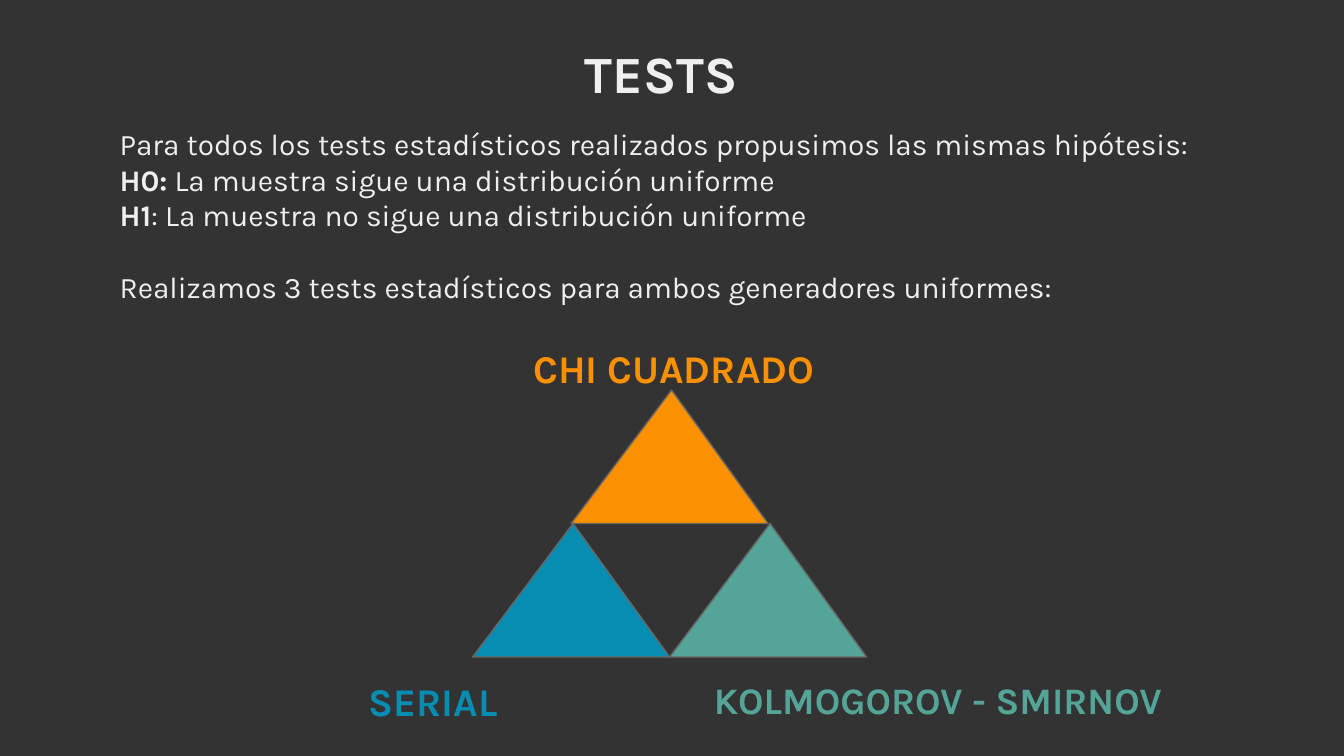
from pptx import Presentation
from pptx.dml.color import RGBColor
from pptx.enum.shapes import MSO_SHAPE
from pptx.enum.text import MSO_ANCHOR, MSO_AUTO_SIZE, PP_ALIGN
from pptx.util import Pt

TRIANGLE = MSO_SHAPE.ISOSCELES_TRIANGLE
TOP = MSO_ANCHOR.TOP
CENTER, LEFT = PP_ALIGN.CENTER, PP_ALIGN.LEFT
NO_FIT = MSO_AUTO_SIZE.NONE

DARK = RGBColor(0x33, 0x33, 0x33)
LIGHT = RGBColor(0xEF, 0xEF, 0xEF)
GREY = RGBColor(0x66, 0x66, 0x66)
ORANGE = RGBColor(0xFB, 0x91, 0x00)
BLUE = RGBColor(0x07, 0x8D, 0xB2)
GREEN = RGBColor(0x54, 0xA4, 0x98)

FONT = "Karla"
INSET = 7.2

# Triangle size, and the top left corner of the upper triangle
TRI_W, TRI_H = 105.5, 71.5
TRI_X, TRI_Y = 306, 209

# Paragraphs: bold part, plain part, space before
HYPOTHESES = [
    ("", "Para todos los tests estadísticos realizados propusimos "
         "las mismas hipótesis:", 0),
    ("H0:", " La muestra sigue una distribución uniforme", 0),
    ("H1", ": La muestra no sigue una distribución uniforme", 0),
    ("", "Realizamos 3 tests estadísticos para ambos generadores uniformes:", 19),
]

# Text, left, top, width, height, size, colour
LABELS = [
    ("KOLMOGOROV - SMIRNOV", 375.3, 352, 258.5, 45, 20, GREEN),
    ("CHI CUADRADO", 278.6, 173.5, 176.5, 35.5, 21, ORANGE),
    ("SERIAL", 190.4, 352, 134, 38, 21, BLUE),
]

# Column (in triangle widths), row, colour
TRIANGLES = [(-0.5, 1, BLUE), (0.5, 1, GREEN), (0, 0, ORANGE)]


def set_frame(tf):
    tf.word_wrap = True
    tf.auto_size = NO_FIT
    tf.vertical_anchor = TOP
    tf.margin_left = tf.margin_right = Pt(INSET)
    tf.margin_top = tf.margin_bottom = Pt(INSET)


def style_run(r, size, color, bold):
    r.font.name = FONT
    r.font.size = Pt(size)
    r.font.bold = bold
    r.font.color.rgb = color


def add_title(s, text):
    sp = s.shapes.title
    sp.left, sp.top, sp.width, sp.height = Pt(18.7), Pt(15), Pt(671), Pt(45.5)
    tf = sp.text_frame
    tf.text = text
    set_frame(tf)
    p = tf.paragraphs[0]
    p.alignment = CENTER
    style_run(p.runs[0], 28, LIGHT, True)


def add_label(s, text, x, y, w, h, size, color):
    tf = s.shapes.add_textbox(Pt(x), Pt(y), Pt(w), Pt(h)).text_frame
    tf.text = text
    set_frame(tf)
    p = tf.paragraphs[0]
    p.alignment = LEFT
    p.line_spacing = 1.15
    style_run(p.runs[0], size, color, True)


def add_triangle(s, column, row, color):
    sp = s.shapes.add_shape(TRIANGLE, Pt(TRI_X + column * TRI_W),
                            Pt(TRI_Y + row * TRI_H), Pt(TRI_W), Pt(TRI_H))
    sp.adjustments[0] = 0.51
    sp.shadow.inherit = False
    sp.fill.solid()
    sp.fill.fore_color.rgb = color
    sp.line.color.rgb = GREY
    sp.line.width = Pt(0.75)


def add_hypotheses(s):
    tf = s.shapes.add_textbox(Pt(57), Pt(60), Pt(606), Pt(111.5)).text_frame
    set_frame(tf)
    for i, (strong, plain, gap) in enumerate(HYPOTHESES):
        p = tf.add_paragraph() if i else tf.paragraphs[0]
        if gap:
            p.space_before = Pt(gap)
        for text, bold in ((strong, True), (plain, False)):
            if text:
                r = p.add_run()
                r.text = text
                style_run(r, 16, LIGHT, bold)


def main():
    prs = Presentation()
    prs.slide_width, prs.slide_height = Pt(720), Pt(405)
    s = prs.slides.add_slide(prs.slide_layouts[5])
    s.background.fill.solid()
    s.background.fill.fore_color.rgb = DARK

    # Title
    add_title(s, "TESTS")

    # Names of the three tests
    for label in LABELS:
        add_label(s, *label)

    # Pyramid of three triangles
    for triangle in TRIANGLES:
        add_triangle(s, *triangle)

    # Hypotheses
    add_hypotheses(s)

    prs.save("out.pptx")


if __name__ == "__main__":
    main()
